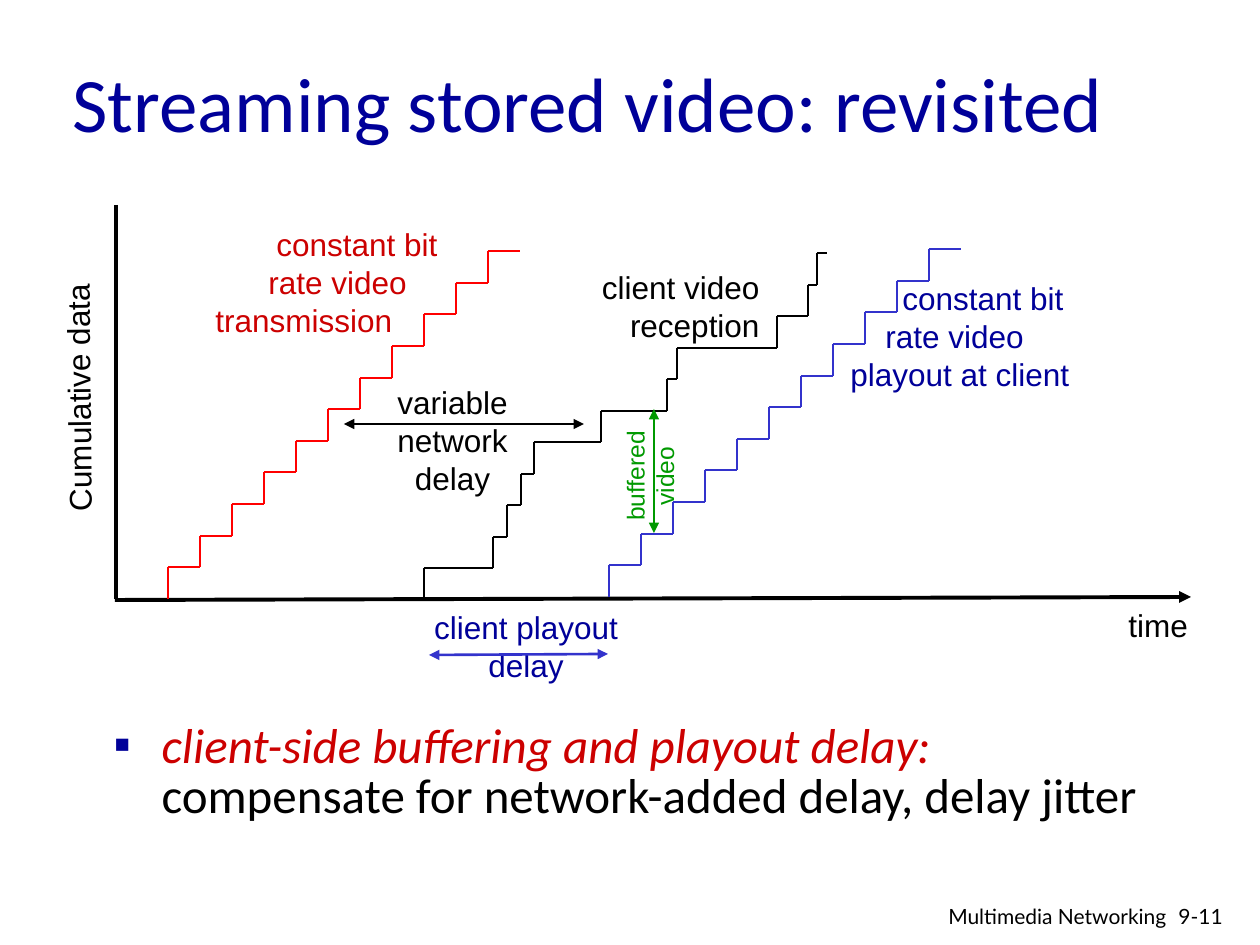
"""Build the slide on streaming stored video with its playout delay chart."""
from lxml import etree
from pptx import Presentation
from pptx.dml.color import RGBColor
from pptx.enum.shapes import MSO_CONNECTOR
from pptx.enum.text import MSO_ANCHOR, MSO_AUTO_SIZE, PP_ALIGN
from pptx.oxml.ns import qn
from pptx.util import Emu, Pt

STRAIGHT = MSO_CONNECTOR.STRAIGHT
MIDDLE = MSO_ANCHOR.MIDDLE
NO_FIT = MSO_AUTO_SIZE.NONE
LEFT, CENTER, RIGHT = PP_ALIGN.LEFT, PP_ALIGN.CENTER, PP_ALIGN.RIGHT

PX_PER_INCH = 126
BLACK, NAVY, CRIMSON = "000000", "000099", "CC0000"
RED, BLUE, GREEN = "FF0000", "3333CC", "009900"
BOTH_ENDS = ("headEnd", "tailEnd")


def px(length):
    return Emu(round(length * 914400 / PX_PER_INCH))


def color(value):
    return RGBColor.from_string(value)


class SlideBuilder:
    def __init__(self, slide, heading_font="Calibri", label_font="Arial", label_size=18):
        self.slide = slide
        self.heading_font = heading_font
        self.label_font = label_font
        self.label_size = label_size

    def place(self, shape, box):
        shape.left, shape.top, shape.width, shape.height = map(px, box)

    def style(self, font, name, size, ink):
        font.name, font.size = name, Pt(size)
        font.color.rgb = color(ink)

    def title(self, text, box):
        shape = self.slide.shapes.title
        self.place(shape, box)
        frame = shape.text_frame
        frame.text = text
        frame.vertical_anchor, frame.auto_size = MIDDLE, NO_FIT
        paragraph = frame.paragraphs[0]
        paragraph.alignment = LEFT
        self.style(paragraph.font, self.heading_font, 44, NAVY)

    def bullet(self, parts, box, indent):
        shape = self.slide.placeholders[1]
        self.place(shape, box)
        shape.text_frame.auto_size = NO_FIT
        paragraph = shape.text_frame.paragraphs[0]
        properties = paragraph._p.get_or_add_pPr()
        properties.set("marL", str(px(indent)))
        properties.set("indent", str(-px(indent)))
        bullet_color = etree.SubElement(properties, qn("a:buClr"))
        etree.SubElement(bullet_color, qn("a:srgbClr"), val=NAVY)
        etree.SubElement(properties, qn("a:buFont"), typeface=self.label_font)
        etree.SubElement(properties, qn("a:buChar"), char="▪")
        paragraph.line_spacing = 0.85
        paragraph.space_before = Pt(0)
        for text, ink, italic in parts:
            run = paragraph.add_run()
            run.text = text
            run.font.italic = italic
            self.style(run.font, self.heading_font, 28, ink)

    def label(self, lines, box, ink=BLACK, align=LEFT, size=None, font=None,
              rotation=0, indents=None):
        shape = self.slide.shapes.add_textbox(*map(px, box))
        shape.rotation = rotation
        frame = shape.text_frame
        frame.word_wrap = True
        frame.text = "\n".join(lines)
        for paragraph, indent in zip(frame.paragraphs, indents or [0] * len(lines)):
            if indent:
                paragraph._p.get_or_add_pPr().set("marL", str(px(indent)))
            paragraph.alignment = align
            self.style(paragraph.font, font or self.label_font,
                       size or self.label_size, ink)

    def line(self, start, end, ink=BLACK, width=1.5, arrows=()):
        connector = self.slide.shapes.add_connector(STRAIGHT, *map(px, start + end))
        connector.line.color.rgb = color(ink)
        connector.line.width = Pt(width)
        outline = connector.line._get_or_add_ln()
        for arrow in arrows:
            etree.SubElement(outline, qn(f"a:{arrow}"), type="triangle")
        etree.SubElement(connector._element.spPr, qn("a:effectLst"))

    def staircase(self, stops, base, height, ink):
        steps = len(stops) - 1
        levels = [base - round(height * step / steps) for step in range(steps + 1)]
        for left, right, low, high in zip(stops, stops[1:], levels, levels[1:]):
            self.line((left, high), (left, low), ink)
            self.line((left, high), (right, high), ink)


def main():
    presentation = Presentation()
    presentation.slide_width, presentation.slide_height = px(1260), px(945)
    slide = presentation.slides.add_slide(presentation.slide_layouts[1])
    builder = SlideBuilder(slide)

    builder.title("Streaming stored video: revisited", (60, 42, 1114, 120))
    builder.bullet(
        [("client-side buffering and playout delay: ", CRIMSON, True),
         ("compensate for network-added delay, delay jitter", BLACK, False)],
        (101, 717, 1071, 122), indent=48)

    builder.line((116, 205), (116, 599), width=2.25)
    builder.line((1191, 597), (115, 600), width=2.25, arrows=("headEnd",))
    builder.label(["Cumulative data"], (-57, 364, 270, 50), rotation=269.4)
    builder.label(["time"], (1116, 600, 92, 50))

    even_steps = range(0, 353, 32)
    reception_stops = [424, 493, 507, 521, 534, 601, 667, 677, 777, 808, 817, 827]
    builder.staircase([168 + step for step in even_steps], 599, 348, RED)
    builder.staircase(reception_stops, 600, 347, BLACK)
    builder.staircase([609 + step for step in even_steps], 597, 348, BLUE)

    builder.label(["constant bit", "rate video", "transmission"],
                  (203, 219, 257, 127), CRIMSON, indents=[61, 53, 0])
    builder.label(["variable", "network", "delay"], (380, 377, 145, 127), align=CENTER)
    builder.label(["client video", "reception"], (581, 262, 191, 90), align=RIGHT)
    builder.label(["constant bit", "rate video", "playout at client"],
                  (829, 273, 270, 127), NAVY, indents=[61, 44, 9])
    builder.label(["client playout", "delay"], (410, 602, 232, 88), NAVY, CENTER)
    builder.label(["buffered", "video"], (587, 440, 126, 72), GREEN, CENTER,
                  size=14, rotation=270)

    builder.line((344, 424), (584, 424), arrows=BOTH_ENDS)
    builder.line((429, 655), (608, 654), BLUE, arrows=BOTH_ENDS)
    builder.line((654, 533), (654, 409), GREEN, arrows=BOTH_ENDS)

    builder.label(["9-11"], (1166, 897, 94, 38), size=12, font="Lato")
    builder.label(["Multimedia Networking"], (907, 897, 272, 36), align=RIGHT,
                  size=12, font="Lato")
    presentation.save("out.pptx")


if __name__ == "__main__":
    main()
